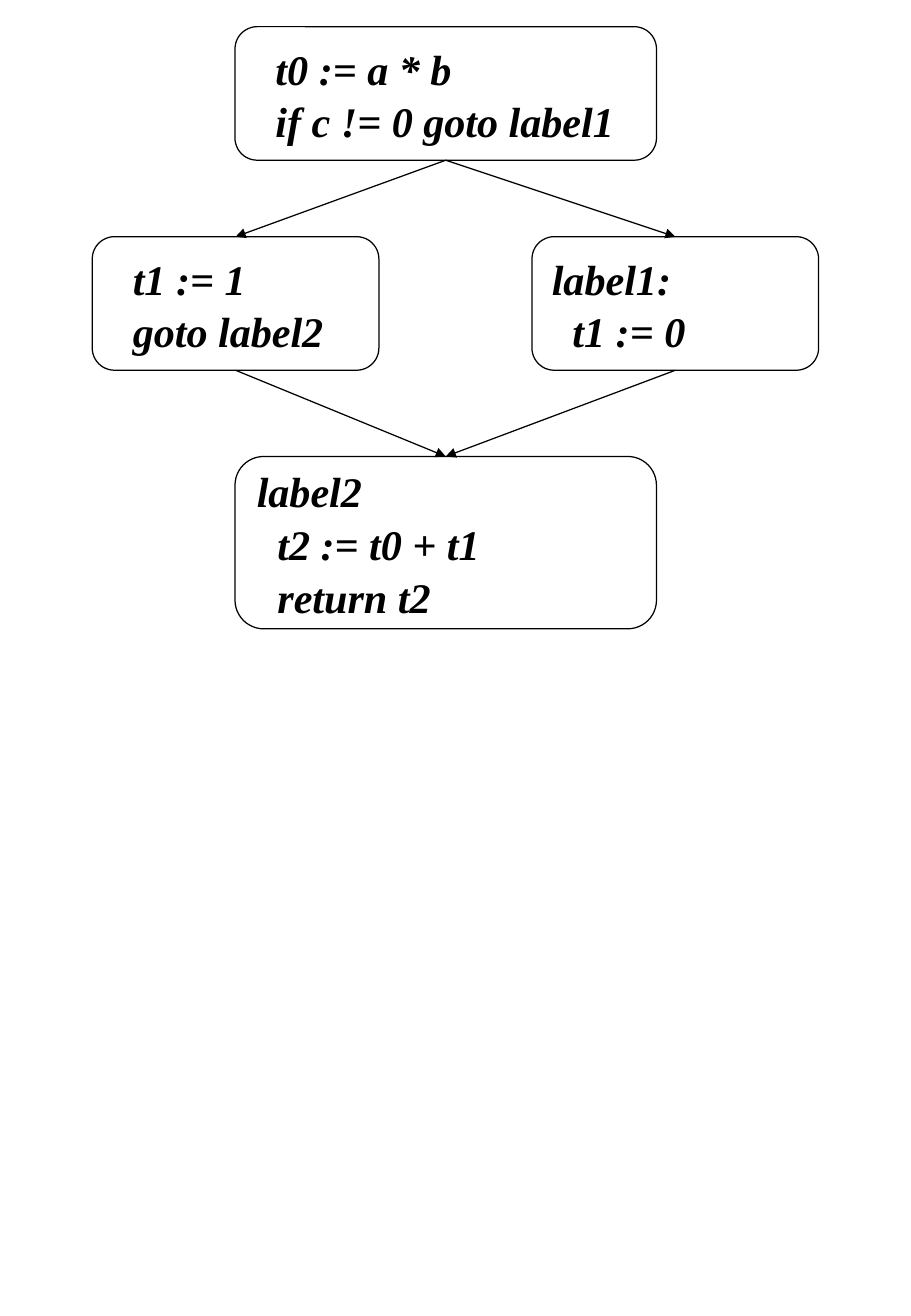
from lxml.etree import SubElement
from pptx import Presentation
from pptx.dml.color import RGBColor
from pptx.enum.shapes import MSO_CONNECTOR as Connector, MSO_SHAPE as Shape
from pptx.enum.text import MSO_ANCHOR as Anchor, PP_ALIGN as Align
from pptx.oxml.ns import qn
from pptx.util import Inches, Pt

BLACK = RGBColor(0, 0, 0)
TOP, BOTTOM = 0, 2


def write_lines(frame, text, size=25, font="Times New Roman", color=BLACK,
                bold=True, italic=True, spacing=1.04, indent=0.17):
    """Write code lines, indenting every line that is not a label."""
    for number, line in enumerate(text.split("\n")):
        statement = frame.paragraphs[0] if number == 0 else frame.add_paragraph()
        statement.alignment = Align.LEFT
        statement.line_spacing = spacing
        if not line.startswith("label"):
            statement._p.get_or_add_pPr().set("marL", str(Inches(indent)))
        run = statement.add_run()
        run.text = line
        run.font.name = font
        run.font.size = Pt(size)
        run.font.bold = bold
        run.font.italic = italic
        run.font.color.rgb = color


class FlowGraph:
    """Draws basic blocks and the jumps between them on one slide."""

    def __init__(self, slide, line_color=BLACK):
        self.slide = slide
        self.line_color = line_color

    def block(self, center, top, width, height, text):
        """Add a rounded block of code centred on a column."""
        block = self.slide.shapes.add_shape(
            Shape.ROUNDED_RECTANGLE, Inches(center - width / 2), Inches(top),
            Inches(width), Inches(height))
        block.shadow.inherit = False
        block.fill.background()
        block.line.color.rgb = self.line_color
        block.line.width = Pt(0)
        frame = block.text_frame
        frame.word_wrap = True
        frame.vertical_anchor = Anchor.MIDDLE
        frame.margin_left = frame.margin_right = Inches(0.11)
        frame.margin_top = frame.margin_bottom = Inches(0.05)
        write_lines(frame, text)
        return block

    def jump(self, source, target):
        """Add an arrow from the bottom of one block to the top of another."""
        arrow = self.slide.shapes.add_connector(Connector.STRAIGHT, 0, 0, 0, 0)
        arrow.begin_connect(source, BOTTOM)
        arrow.end_connect(target, TOP)
        arrow.line.color.rgb = self.line_color
        arrow.line.width = Pt(0.75)
        SubElement(arrow.line._get_or_add_ln(), qn("a:tailEnd"), type="triangle")
        SubElement(arrow._element.spPr, qn("a:effectLst"))


def main():
    """Build the control flow graph."""
    deck = Presentation()
    deck.slide_width, deck.slide_height = Inches(7.5), Inches(10.84)
    graph = FlowGraph(deck.slides.add_slide(deck.slide_layouts[6]))

    middle, left, right = 3.67, 1.94, 5.56
    wide, narrow, two_lines, three_lines = 3.47, 2.36, 1.1, 1.42
    test = graph.block(middle, 0.22, wide, two_lines,
                       "t0 := a * b\nif c != 0 goto label1")
    merge = graph.block(middle, 3.76, wide, three_lines,
                        "label2\nt2 := t0 + t1\nreturn t2")
    branches = [
        graph.block(center, 1.95, narrow, two_lines, text)
        for center, text in ((left, "t1 := 1\ngoto label2"),
                             (right, "label1:\nt1 := 0"))]

    for branch in branches:
        graph.jump(test, branch)
    for branch in branches:
        graph.jump(branch, merge)

    deck.save("out.pptx")


if __name__ == "__main__":
    main()
